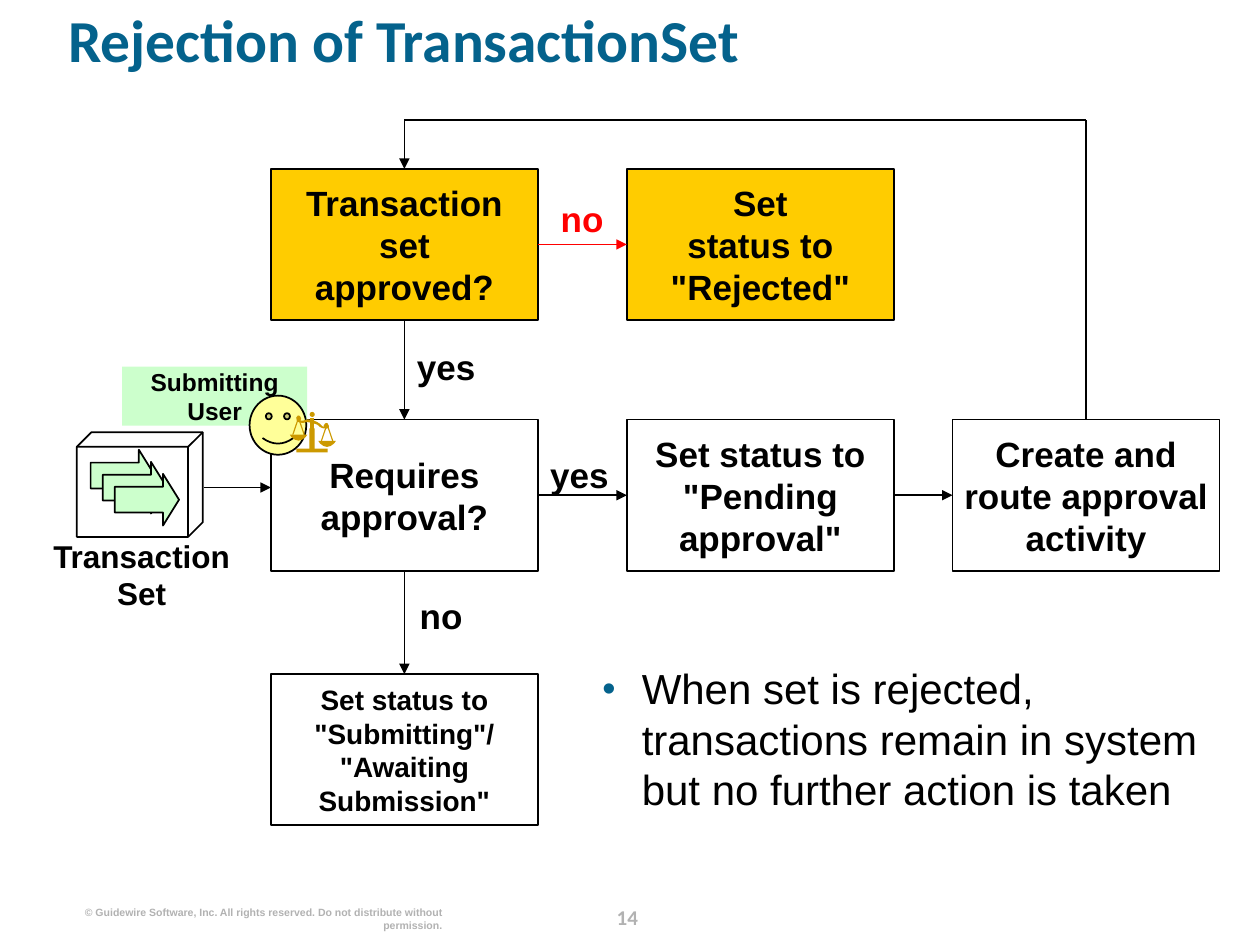
from dataclasses import dataclass
from typing import Optional

import lxml.etree
import pptx
import pptx.dml.color
import pptx.enum.shapes
import pptx.enum.text
import pptx.oxml.ns
import pptx.util

Pt = pptx.util.Pt
qn = pptx.oxml.ns.qn
Preset = pptx.enum.shapes.MSO_SHAPE
Align = pptx.enum.text.PP_ALIGN
Anchor = pptx.enum.text.MSO_ANCHOR


@dataclass(frozen=True)
class Theme:
    black: str = "000000"
    red: str = "FF0000"
    blue: str = "04628C"
    gray: str = "B2B2B2"
    gold: str = "FFCC00"
    bronze: str = "CC9900"
    green: str = "CCFFCC"
    yellow: str = "FFFF99"
    body_font: str = "Arial"
    title_font: str = "Calibri"
    title: float = 34
    body: float = 24
    step: float = 20
    caption: float = 18
    small_step: float = 16
    user: float = 14
    page: float = 12
    footer: float = 6
    line: float = 1


@dataclass(frozen=True)
class Step:
    text: str
    column: int
    row: int
    fill: Optional[str] = None
    size: float = Theme.step
    inset: float = 10.8


@dataclass(frozen=True)
class Label:
    text: str
    left: float
    top: float
    width: float
    height: float
    size: float = Theme.step
    color: str = Theme.black
    align: Align = Align.CENTER
    font: str = Theme.body_font
    bold: bool = True
    spacing: Optional[float] = None


THEME = Theme()
COLUMNS = (154.8, 358.2, 544.3)
ROWS = (96.5, 239.8, 385.2)
STEP_WIDTH, STEP_HEIGHT = 152.6, 86.4
TOP, LEFT, BOTTOM, RIGHT = range(4)
LOOP_TOP = 68.4

STEPS = {
    "approved": Step("Transaction set approved?", 0, 0, THEME.gold),
    "rejected": Step("Set\vstatus to \"Rejected\"", 1, 0, THEME.gold),
    "requires": Step("Requires approval?", 0, 1),
    "pending": Step("Set status to \"Pending approval\"", 1, 1),
    "activity": Step("Create and route approval activity", 2, 1, inset=3),
    "submitting": Step("Set status to \"Submitting\"/\v\"Awaiting Submission\"", 0, 2,
                       size=THEME.small_step, inset=8.6),
}
FLOWS = (
    ("approved", RIGHT, "rejected", LEFT, THEME.red),
    ("approved", BOTTOM, "requires", TOP, THEME.black),
    ("requires", RIGHT, "pending", LEFT, THEME.black),
    ("pending", RIGHT, "activity", LEFT, THEME.black),
    ("requires", BOTTOM, "submitting", TOP, THEME.black),
)
LABELS = (
    Label("Rejection of TransactionSet", 38.9, 9.4, 655, 58, THEME.title, THEME.blue,
          Align.LEFT, THEME.title_font, spacing=0.8),
    Label("no", 308.9, 113, 47.5, 24, color=THEME.red),
    Label("yes", 238.3, 197.3, 44, 24, align=Align.LEFT),
    Label("yes", 307.4, 259.2, 47.5, 24),
    Label("no", 239.8, 339.8, 29.5, 24, align=Align.LEFT),
    Label("Transaction\vSet", 28.1, 306.7, 105.8, 43.2, THEME.caption),
    Label("14", 338, 513.4, 41, 18, THEME.page, THEME.gray, font=THEME.title_font,
          spacing=Pt(18)),
    Label("© Guidewire Software, Inc. All rights reserved. Do not distribute without permission.",
          43.9, 517.7, 208.8, 14.4, THEME.footer, THEME.gray, Align.RIGHT),
)
USER = Label("Submitting User", 69.8, 209.5, 105.8, 33.8, THEME.user)
REMARK = Label("When set is rejected, transactions remain in system but no further action is taken",
               344.2, 378.7, 354.2, 123.8, THEME.body, align=Align.LEFT, bold=False)

SCALES_LEFT, SCALES_TOP = 165.6, 235.4
BEAM = ((22.3, 7.9), (21.6, 6.5), (20.9, 6.3), (20.2, 6.6), (19.4, 7.7), (19.6, 8.5),
        (18.7, 8.2), (17.3, 6.8), (15.8, 5.8), (13, 4.6), (10.1, 4.2), (7.9, 4.9),
        (6.1, 5), (6.5, 3.6), (5.8, 2.3), (4.7, 2), (3.7, 3.2), (4, 4.9), (5, 5.8),
        (7.2, 6.3), (10.1, 5.8), (13, 6.3), (15.8, 7.3), (17.3, 8.6), (19.1, 9.4),
        (21.2, 9.5), (22.3, 8.8))
PAN = ((0, 0), (1, 1.5), (3, 2.9), (5, 3.4), (7, 2.9), (9, 1.5), (10, 0))
LEFT_STRING = ((2.1, 0), (5, -8.6), (4.3, -8.6), (1.4, 0))
RIGHT_STRING = tuple((10 - x, y) for x, y in LEFT_STRING)


def rgb(color: str) -> pptx.dml.color.RGBColor:
    return pptx.dml.color.RGBColor.from_string(color)


def paint(shape, fill: Optional[str], line: Optional[str]) -> None:
    shape.shadow.inherit = False
    if fill:
        shape.fill.solid()
        shape.fill.fore_color.rgb = rgb(fill)
    else:
        shape.fill.background()
    if line:
        shape.line.color.rgb = rgb(line)
        shape.line.width = Pt(THEME.line)
    else:
        shape.line.fill.background()


def draw_shape(page, preset: Preset, left: float, top: float, width: float, height: float,
               fill: Optional[str] = None, line: Optional[str] = THEME.black,
               adjustments: tuple = ()):
    shape = page.shapes.add_shape(preset, Pt(left), Pt(top), Pt(width), Pt(height))
    paint(shape, fill, line)
    for index, value in enumerate(adjustments):
        shape.adjustments[index] = value
    return shape


def write(shape, label: Label, inset: float = 0, anchor: Anchor = Anchor.TOP,
          bullet: bool = False) -> None:
    frame = shape.text_frame
    frame.word_wrap = True
    frame.vertical_anchor = anchor
    frame.margin_left = frame.margin_right = Pt(inset)
    frame.margin_top = frame.margin_bottom = Pt(0)
    para = frame.paragraphs[0]
    para.text = label.text
    para.alignment = label.align
    if label.spacing:
        para.line_spacing = label.spacing
    if bullet:
        add_bullet(para)
    para.font.name = label.font
    para.font.size = Pt(label.size)
    para.font.bold = label.bold
    para.font.color.rgb = rgb(label.color)


def add_bullet(para) -> None:
    properties = para._p.get_or_add_pPr()
    properties.set("marL", str(Pt(22.5)))
    properties.set("indent", str(-Pt(22.5)))
    color = lxml.etree.SubElement(properties, qn("a:buClr"))
    lxml.etree.SubElement(color, qn("a:srgbClr"), val=THEME.blue)
    lxml.etree.SubElement(properties, qn("a:buSzPct"), val="90000")
    lxml.etree.SubElement(properties, qn("a:buFont"), typeface=THEME.body_font)
    lxml.etree.SubElement(properties, qn("a:buChar"), char="•")


def draw_label(page, label: Label, bullet: bool = False) -> None:
    box = page.shapes.add_textbox(Pt(label.left), Pt(label.top), Pt(label.width), Pt(label.height))
    write(box, label, bullet=bullet)


def draw_step(page, step: Step):
    left, top = COLUMNS[step.column], ROWS[step.row]
    box = draw_shape(page, Preset.RECTANGLE, left, top, STEP_WIDTH, STEP_HEIGHT, step.fill)
    label = Label(step.text, left, top, STEP_WIDTH, STEP_HEIGHT, step.size)
    write(box, label, step.inset, Anchor.MIDDLE)
    return box


def draw_line(page, start: tuple = (0, 0), end: tuple = (0, 0), color: str = THEME.black,
              arrow: bool = True):
    line = page.shapes.add_connector(pptx.enum.shapes.MSO_CONNECTOR.STRAIGHT,
                                     *(Pt(value) for value in (*start, *end)))
    line.line.color.rgb = rgb(color)
    line.line.width = Pt(THEME.line)
    if arrow:
        lxml.etree.SubElement(line.line._get_or_add_ln(), qn("a:tailEnd"), type="triangle")
    lxml.etree.SubElement(line._element.spPr, qn("a:effectLst"))
    return line


def draw_outline(page, points: tuple, left: float, top: float) -> None:
    vertices = [(Pt(left + x), Pt(top + y)) for x, y in points]
    builder = page.shapes.build_freeform(*vertices[0], scale=1.0)
    builder.add_line_segments(vertices[1:], close=True)
    paint(builder.convert_to_shape(), THEME.bronze, None)


def draw_scales(page) -> None:
    draw_outline(page, BEAM, SCALES_LEFT, SCALES_TOP)
    for x, y in ((0, 13), (16.3, 16.6)):
        for outline in (PAN, LEFT_STRING, RIGHT_STRING):
            draw_outline(page, outline, SCALES_LEFT + x, SCALES_TOP + y)
    for preset, x, y, width, height in ((Preset.RECTANGLE, 11.7, 3.6, 2.1, 8),
                                        (Preset.RECTANGLE, 11.2, 9.4, 3, 13),
                                        (Preset.OVAL, 11.4, 0, 2.9, 2.9),
                                        (Preset.RECTANGLE, 3.7, 21, 18, 2.2)):
        draw_shape(page, preset, SCALES_LEFT + x, SCALES_TOP + y, width, height,
                   THEME.bronze, None)


def main() -> None:
    deck = pptx.Presentation()
    deck.slide_width, deck.slide_height = Pt(720), Pt(540)
    page = deck.slides.add_slide(deck.slide_layouts[6])

    boxes = {name: draw_step(page, step) for name, step in STEPS.items()}
    for source, source_side, target, target_side, color in FLOWS:
        line = draw_line(page, color=color)
        line.begin_connect(boxes[source], source_side)
        line.end_connect(boxes[target], target_side)

    loop_left, loop_right = (COLUMNS[index] + STEP_WIDTH / 2 for index in (0, 2))
    rise = draw_line(page, end=(loop_right, LOOP_TOP), arrow=False)
    rise.begin_connect(boxes["activity"], TOP)
    draw_line(page, (loop_right, LOOP_TOP), (loop_left, LOOP_TOP), arrow=False)
    drop = draw_line(page, (loop_left, LOOP_TOP))
    drop.end_connect(boxes["approved"], TOP)

    for index in range(3):
        draw_shape(page, Preset.RIGHT_ARROW, 51.8 + 6.9 * index, 257 + 6.9 * index, 36.7, 29.5,
                   THEME.green, adjustments=(0.5, 0.31))
    draw_shape(page, Preset.CUBE, 43.9, 247, 72, 59.8, adjustments=(0.14,))
    draw_line(page, (116.6, 278.6), (COLUMNS[0], 278.6))

    for label in LABELS:
        draw_label(page, label)
    draw_label(page, REMARK, bullet=True)

    user = draw_shape(page, Preset.RECTANGLE, USER.left, USER.top, USER.width, USER.height,
                      THEME.green, None)
    write(user, USER)
    draw_shape(page, Preset.SMILEY_FACE, 142.6, 226.1, 32.4, 33.8, THEME.yellow)
    draw_scales(page)
    deck.save("out.pptx")


if __name__ == "__main__":
    main()
